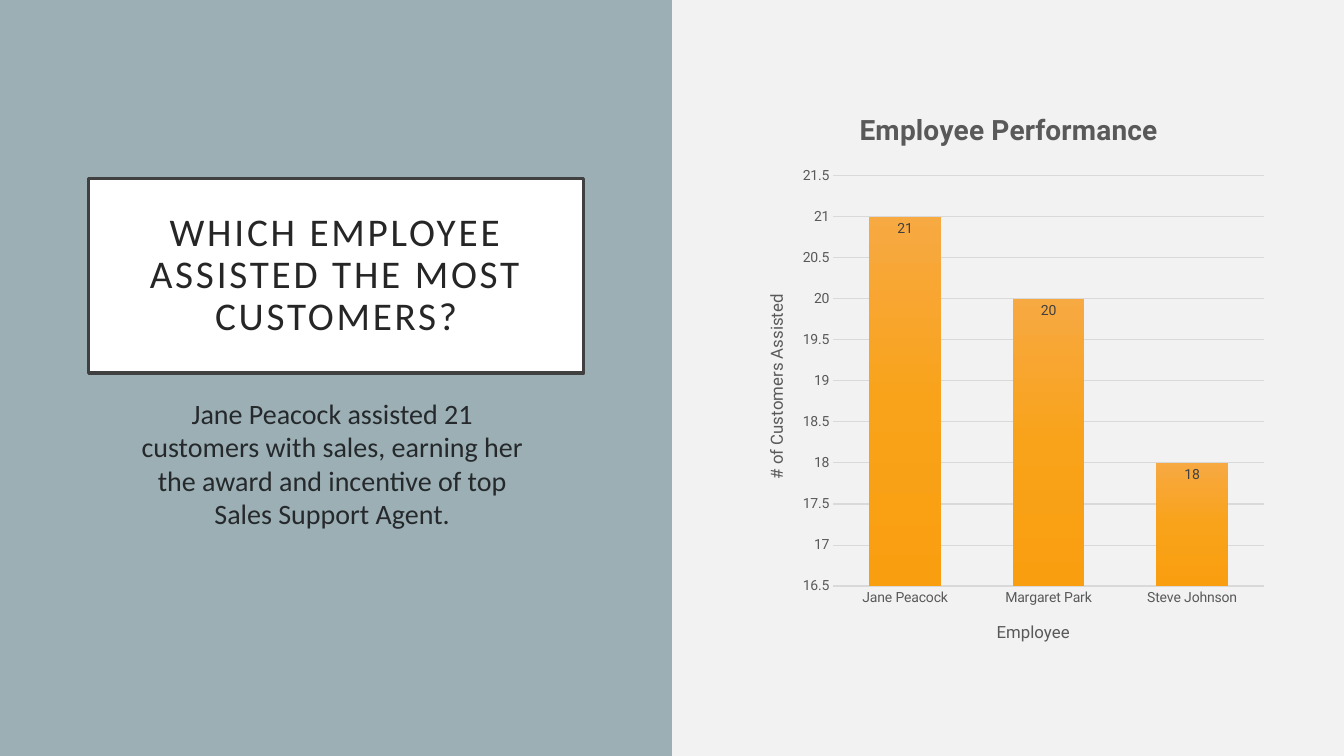
from copy import deepcopy
from pptx import Presentation
from pptx.chart.data import CategoryChartData
from pptx.dml.color import RGBColor
from pptx.enum.chart import XL_CHART_TYPE, XL_LABEL_POSITION, XL_TICK_MARK
from pptx.enum.shapes import MSO_SHAPE
from pptx.enum.text import MSO_ANCHOR, PP_ALIGN
from pptx.oxml import parse_xml
from pptx.oxml.ns import nsdecls
from pptx.util import Inches, Pt

# Content
TITLE = "WHICH EMPLOYEE ASSISTED THE MOST CUSTOMERS?"
BODY = ("Jane Peacock assisted 21 customers with sales, earning her "
        "the award and incentive of top Sales Support Agent.")
HEAD = "Employee Performance"
AXES = {"cat": "Employee", "val": "# of Customers Assisted"}
SALES = {"Jane Peacock": 21, "Margaret Park": 20, "Steve Johnson": 18}


class Theme:
    back, panel, white = "F2F2F2", "9BAFB5", "FFFFFF"
    frame, title, body = "404040", "262626", "25292B"
    axis, grid, label = "595959", "D9D9D9", "404040"
    bar = ((0, "F7A942"), (0.5, "F9A31A"), (1, "F99E0F"))
    text, chart = "Calibri", "Roboto"
    big, mid, head, name, small = 28, 20, 20, 12, 10


# Layout in inches
WIDE, HIGH = 13.33, 7.5
PANEL = (0, 0, WIDE / 2, HIGH)
CARD = (0.88, 1.77, 4.91, 1.93)
NOTE = (1.22, 3.88, 4.15, 2.4)
CHART = (7.37, 0.88, 5.27, 5.74)
PLOT = {"x": 0.17, "y": 0.15, "w": 0.81, "h": 0.71}


def color(code):
    return RGBColor.from_string(code)


def style(font, size, code, face=Theme.chart, bold=False):
    font.size, font.name, font.bold = Pt(size), face, bold
    font.color.rgb = color(code)


def write(frame, text, size, code, face=Theme.chart, bold=False,
          align=PP_ALIGN.CENTER, space=None, before=None, track=None):
    para = frame.paragraphs[0]
    para.alignment = align
    if space:
        para.line_spacing = space
    if before:
        para.space_before = Pt(before)
    run = para.add_run()
    run.text = text
    style(run.font, size, code, face, bold)
    if track:
        run.font._element.set("spc", str(track * 100))


def block(slide, box, fill, line=None):
    shape = slide.shapes.add_shape(MSO_SHAPE.RECTANGLE, *map(Inches, box))
    shape.shadow.inherit = False
    shape.fill.solid()
    shape.fill.fore_color.rgb = color(fill)
    if line:
        shape.line.color.rgb = color(line)
        shape.line.width = Pt(2.5)
    else:
        shape.line.fill.background()
    return shape


deck = Presentation()
deck.slide_width, deck.slide_height = Inches(WIDE), Inches(HIGH)
slide = deck.slides.add_slide(deck.slide_layouts[6])
slide.background.fill.solid()
slide.background.fill.fore_color.rgb = color(Theme.back)

# Left panel and title card
block(slide, PANEL, Theme.panel)
frame = block(slide, CARD, Theme.white, Theme.frame).text_frame
frame.word_wrap = True
frame.vertical_anchor = MSO_ANCHOR.MIDDLE
frame.margin_left = frame.margin_right = Inches(0.2)
frame.margin_top = frame.margin_bottom = Inches(0.2)
write(frame, TITLE, Theme.big, Theme.title, Theme.text, space=0.9, track=2)

# Chart
data = CategoryChartData()
data.categories = list(SALES)
data.add_series("Series 1", list(SALES.values()))
chart = slide.shapes.add_chart(
    XL_CHART_TYPE.COLUMN_CLUSTERED, *map(Inches, CHART), data).chart
style(chart.font, Theme.small, Theme.axis)
chart.has_legend = False
chart.has_title = True
write(chart.chart_title.text_frame, HEAD, Theme.head, Theme.axis, bold=True)
chart.chart_title.include_in_layout = False

# Axes
cat, val = chart.category_axis, chart.value_axis
for axis, name in ((cat, AXES["cat"]), (val, AXES["val"])):
    axis.major_tick_mark = axis.minor_tick_mark = XL_TICK_MARK.NONE
    style(axis.tick_labels.font, Theme.small, Theme.axis)
    write(axis.axis_title.text_frame, name, Theme.name, Theme.axis)
cat.format.line.color.rgb = color(Theme.grid)
cat.format.line.width = Pt(1)
val.format.line.fill.background()
val.minimum_scale, val.maximum_scale, val.major_unit = 16.5, 21.5, 0.5
val.tick_labels.number_format = "General"
val.tick_labels.number_format_is_linked = False
val.major_gridlines.format.line.color.rgb = color(Theme.grid)
val.major_gridlines.format.line.width = Pt(0.75)

# Bars with a three-stop gradient
plot = chart.plots[0]
plot.gap_width, plot.overlap, plot.vary_by_categories = 100, -24, False
bars = plot.series[0]
fill = bars.format.fill
fill.gradient()
fill.gradient_angle = 270
stops = bars._element.xpath(".//a:gsLst")[0]
stops.append(deepcopy(stops[0]))
for stop, (place, code) in zip(fill.gradient_stops, Theme.bar):
    stop.position = place
    stop.color.rgb = color(code)
labels = bars.data_labels
labels.show_value = True
labels.position = XL_LABEL_POSITION.INSIDE_END
style(labels.font, Theme.small, Theme.label)

# Fixed inner plot area
area = chart._chartSpace.chart.plotArea
for old in area.xpath("c:layout"):
    area.remove(old)
sizes = "".join(f'<c:{key} val="{num}"/>' for key, num in PLOT.items())
area.insert(0, parse_xml(
    f'<c:layout {nsdecls("c")}><c:manualLayout><c:layoutTarget val="inner"/>'
    f'<c:xMode val="edge"/><c:yMode val="edge"/>{sizes}'
    '</c:manualLayout></c:layout>'))

# Answer below the card
frame = slide.shapes.add_textbox(*map(Inches, NOTE)).text_frame
frame.word_wrap = True
write(frame, BODY, Theme.mid, Theme.body, Theme.text, before=10)

deck.save("out.pptx")
